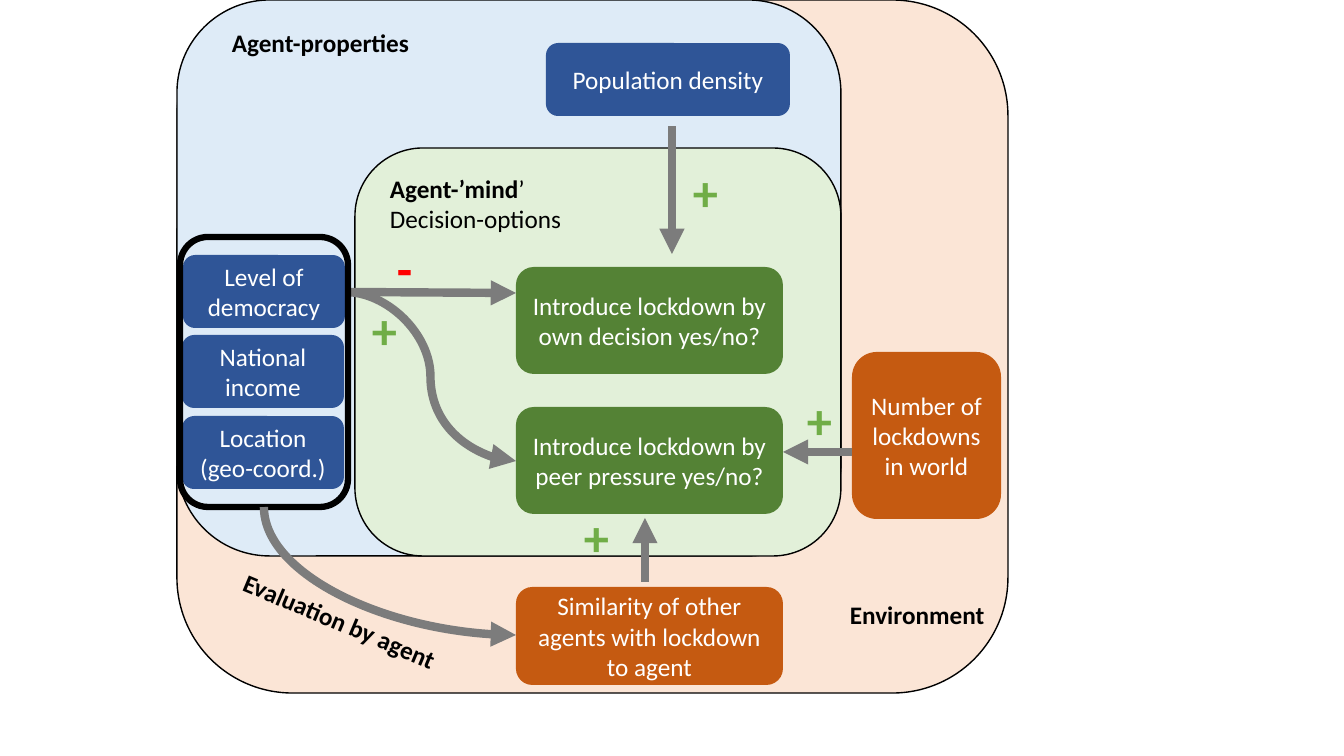
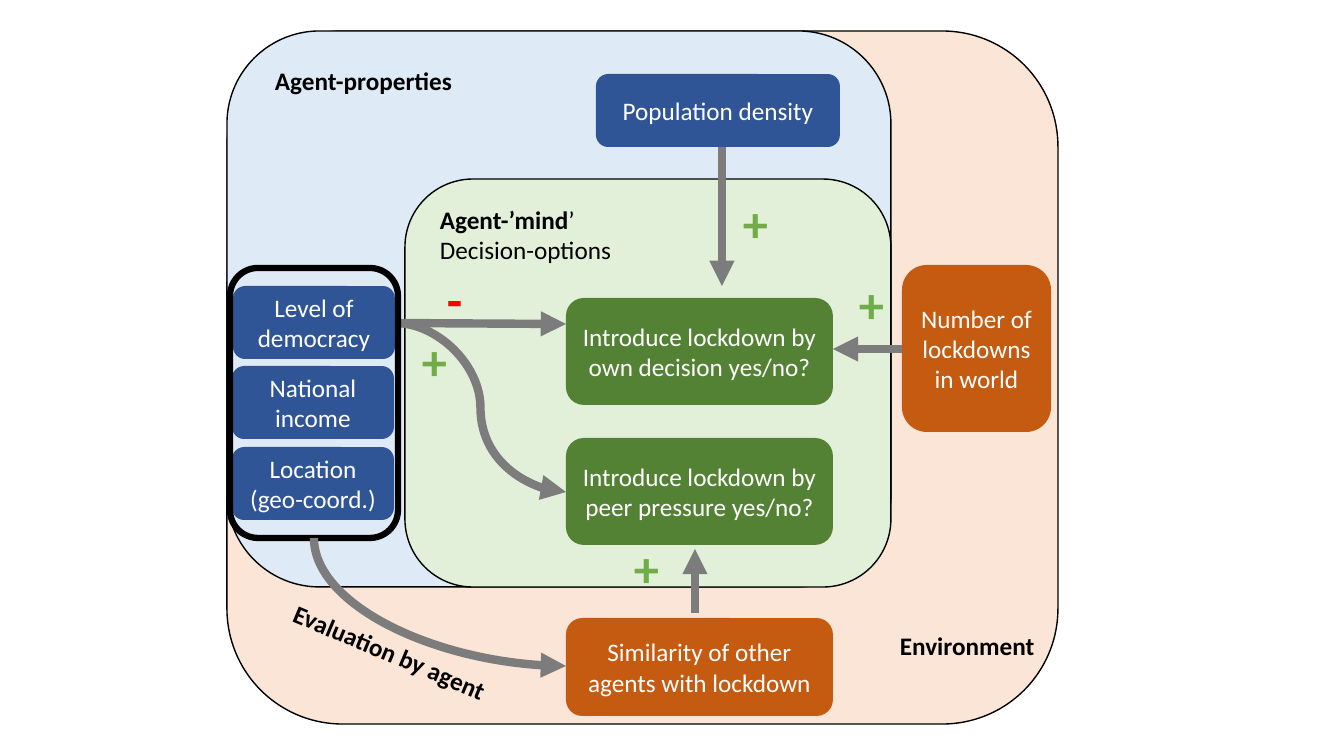
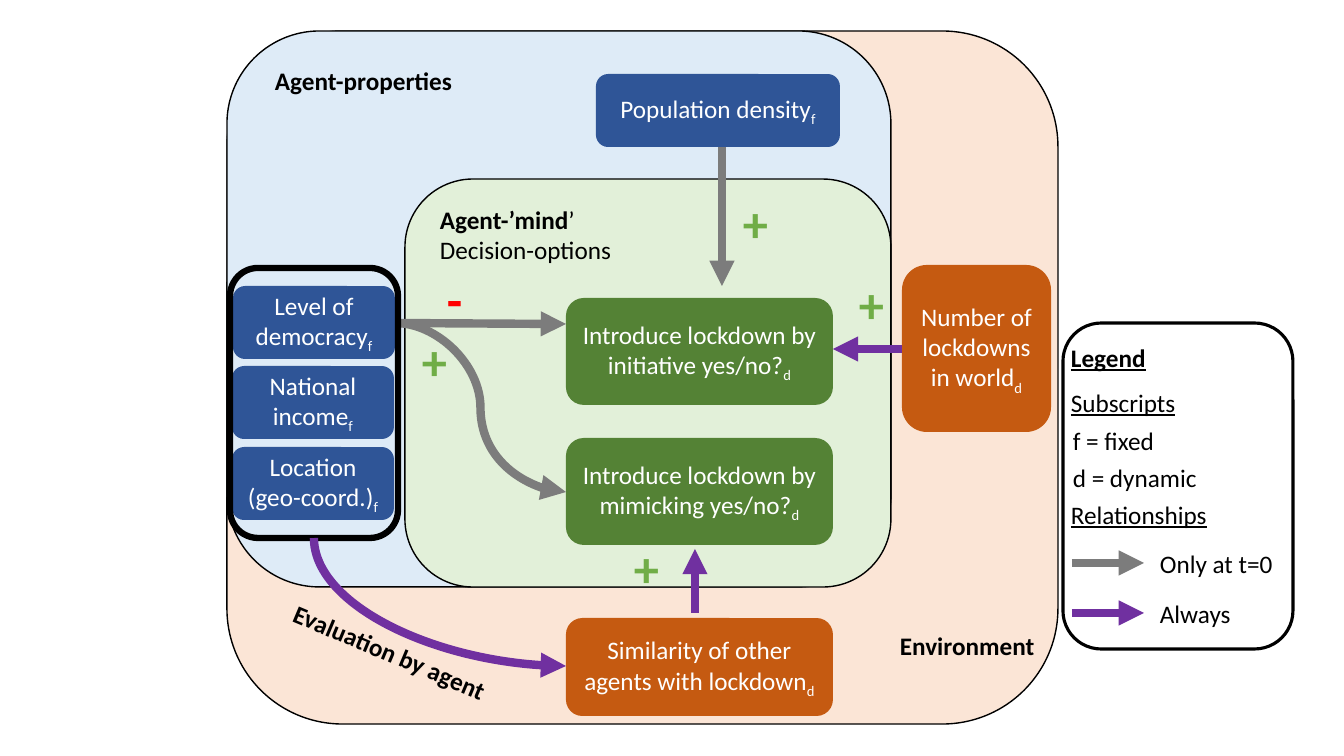
"""Three variants of an agent decision diagram, the last one with a legend."""
from lxml.etree import SubElement
from pptx import Presentation
from pptx.dml.color import RGBColor
from pptx.enum.shapes import MSO_CONNECTOR, MSO_SHAPE
from pptx.enum.text import MSO_ANCHOR, MSO_AUTO_SIZE, PP_ALIGN
from pptx.oxml.ns import qn
from pptx.util import Emu, Pt

FONT = "Calibri"
BLACK, WHITE, RED, PLUS_GREEN = "000000", "FFFFFF", "FF0000", "70AD47"
PEACH, PALE_BLUE, PALE_GREEN = "FBE5D6", "DEEBF7", "E2F0D9"
BLUE, GREEN, ORANGE = "2F5597", "548235", "C55A11"
GRAY, PURPLE = "7C7C7C", "7030A0"


def px(n):
    """Turn pixels into EMU."""
    return Emu(round(n * 914400 / 100.8))


def rgb(code):
    """Turn a hex string into a colour."""
    return RGBColor.from_string(code)


def add_run(p, text, color, size=18, bold=False, underline=False):
    """Append one formatted run."""
    r = p.add_run()
    r.text = text
    f = r.font
    f.name, f.size, f.bold = FONT, Pt(size), bold
    f.underline = underline or None
    f.color.rgb = rgb(color)
    return r


def panel(s, x, y, w, h, fill=None, line=None, width=1):
    """Draw a rounded rectangle."""
    sp = s.shapes.add_shape(MSO_SHAPE.ROUNDED_RECTANGLE, px(x), px(y), px(w), px(h))
    sp.shadow.inherit = False
    if fill:
        sp.fill.solid()
        sp.fill.fore_color.rgb = rgb(fill)
    else:
        sp.fill.background()
    if line:
        sp.line.color.rgb = rgb(line)
        sp.line.width = Pt(width)
    else:
        sp.line.fill.background()
    return sp


def node(s, x, y, w, h, fill, text, sub=""):
    """Draw a filled box with centred text and an optional subscript."""
    tf = panel(s, x, y, w, h, fill).text_frame
    tf.word_wrap = True
    tf.vertical_anchor = MSO_ANCHOR.MIDDLE
    for i, line in enumerate(text.split("\n")):
        p = tf.add_paragraph() if i else tf.paragraphs[0]
        p.alignment = PP_ALIGN.CENTER
        add_run(p, line, WHITE)
    if sub:
        r = add_run(p, sub, WHITE)
        r.font._element.set("baseline", "-25000")


def label(s, x, y, w, text, h=40, color=BLACK, **style):
    """Write a text box and return it."""
    sp = s.shapes.add_textbox(px(x), px(y), px(w), px(h))
    tf = sp.text_frame
    tf.word_wrap = True
    tf.auto_size = MSO_AUTO_SIZE.SHAPE_TO_FIT_TEXT
    add_run(tf.paragraphs[0], text, color, **style)
    return sp


def sign(s, x, y, text="+", color=PLUS_GREEN, w=85):
    """Write a large plus or minus."""
    label(s, x, y, w, text, h=72, color=color, size=36, bold=True)


def arrow(s, x1, y1, x2, y2, color=GRAY, kind=MSO_CONNECTOR.STRAIGHT):
    """Draw a thick arrow from the first point to the second."""
    c = s.shapes.add_connector(kind, px(x1), px(y1), px(x2), px(y2))
    c.line.color.rgb = rgb(color)
    c.line.width = Pt(6)
    SubElement(c.line._get_or_add_ln(), qn("a:tailEnd"), type="triangle")
    SubElement(c._element.spPr, qn("a:effectLst"))
    return c


def quarter_arrow(s, x1, y1, x2, y2, color):
    """Draw an arrow that leaves downwards and arrives sideways."""
    cx, cy = (x1 + x2) / 2, (y1 + y2) / 2
    dx, dy = (y2 - y1) / 2, (x2 - x1) / 2
    c = arrow(s, cx + dx, cy - dy, cx - dx, cy + dy, color, MSO_CONNECTOR.CURVE)
    c._element.spPr.find(qn("a:prstGeom")).set("prst", "curvedConnector2")
    c._element.spPr.find(qn("a:xfrm")).set("rot", str(270 * 60000))


def zones(s, x, y, title_at):
    """Draw the three nested zones and their headings."""
    panel(s, x, y, 831, 693, PEACH, BLACK)
    panel(s, x, y, 664, 556, PALE_BLUE, BLACK)
    panel(s, x + 178, y + 148, 486, 408, PALE_GREEN, BLACK)
    tf = label(s, x + 203, y + 168, 209, "Agent-’mind", h=72, bold=True).text_frame
    add_run(tf.paragraphs[0], "’", BLACK)
    add_run(tf.add_paragraph(), "Decision-options", BLACK)
    dx, dy = title_at
    label(s, x + dx, y + dy, 284, "Agent-properties", bold=True)
    label(s, x + 663, y + 594, 167, "Environment", bold=True)


def properties(s, x, y, fixed):
    """Draw the framed stack of agent properties."""
    node(s, x + 3, y + 18, 162, 73, BLUE, "Level of democracy", fixed)
    node(s, x + 2, y + 98, 162, 73, BLUE, "National income", fixed)
    node(s, x + 2, y + 179, 162, 73, BLUE, "Location\n(geo-coord.)", fixed)
    panel(s, x, y, 168, 270, line=BLACK, width=4.5)


def diagram(s, x, y, own, peer, similar, title_at=(38, 29), density_y=(116, 255),
            world_y=234, world_arrow_y=318, world_sign=(622, 237),
            fixed="", dynamic="", always=GRAY):
    """Draw the whole diagram with its top left corner at x, y."""
    zones(s, x, y, title_at)
    for top, verb in ((267, own), (407, peer)):
        node(s, x + 339, y + top, 267, 107, GREEN,
             f"Introduce lockdown by {verb} yes/no?", dynamic)
    node(s, x + 369, y + 43, 244, 73, BLUE, "Population density", fixed)
    node(s, x + 675, y + world_y, 149, 167, ORANGE,
         "Number of lockdowns in world", dynamic)
    node(s, x + 339, y + 587, 267, 98, ORANGE, similar, dynamic)

    start, end = density_y
    arrow(s, x + 495, y + start, x + 495, y + end)
    arrow(s, x + 168, y + 292, x + 339, y + 293)
    arrow(s, x + 675, y + world_arrow_y, x + 606, y + world_arrow_y, always)
    arrow(s, x + 468, y + 582, x + 468, y + 518, always)
    sign(s, x + 210, y + 232, "-", RED)
    sign(s, x + 397, y + 501, w=37)
    sign(s, x + 506, y + 156)
    sign(s, x + world_sign[0], y + world_sign[1])

    arrow(s, x + 168, y + 292, x + 339, y + 461, kind=MSO_CONNECTOR.CURVE)
    properties(s, x + 3, y + 237, fixed)
    sign(s, x + 185, y + 294, w=37)
    quarter_arrow(s, x + 87, y + 507, x + 339, y + 635, always)
    label(s, x + 50, y + 602, 232, "Evaluation by agent", bold=True).rotation = 22.8


def legend(s, x, y):
    """Draw the legend box with subscripts and arrow colours."""
    label(s, x - 2, y + 14, 141, "Legend", bold=True, underline=True)
    label(s, x - 2, y + 59, 260, "Subscripts", underline=True)
    label(s, x, y + 97, 260, "f = fixed")
    label(s, x, y + 134, 260, "d = dynamic")
    label(s, x - 2, y + 171, 260, "Relationships", underline=True)
    for top, text, color in ((240, "Only at t=0", GRAY), (290, "Always", PURPLE)):
        arrow(s, x + 9, y + top, x + 81, y + top, color)
        label(s, x + 87, y + top - 20, 141, text)
    panel(s, x, y, 230, 326, line=BLACK, width=2.25)


def main():
    """Build and save the three slides."""
    prs = Presentation()
    prs.slide_width, prs.slide_height = px(1344), px(756)
    first, second, third = (prs.slides.add_slide(prs.slide_layouts[6]) for _ in range(3))
    similar = "Similarity of other agents with lockdown"
    diagram(first, 177, 0, "own decision", "peer pressure", similar + " to agent",
            title_at=(45, 22), density_y=(126, 254), world_y=352,
            world_arrow_y=452, world_sign=(620, 384))
    diagram(second, 227, 31, "own decision", "peer pressure", similar)
    diagram(third, 227, 31, "initiative", "mimicking", similar,
            fixed="f", dynamic="d", always=PURPLE)
    legend(third, 1063, 323)
    prs.save("out.pptx")


main()
